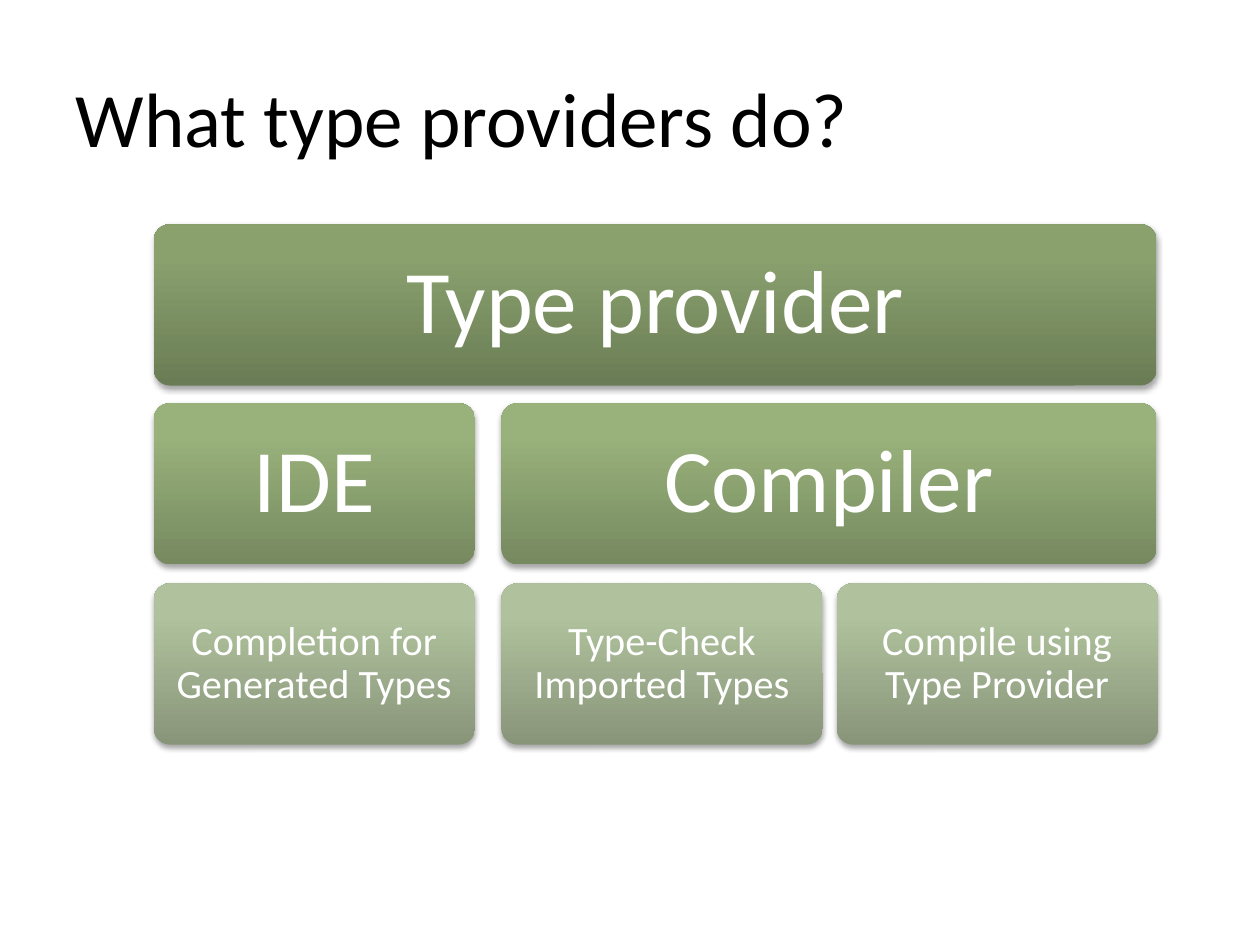
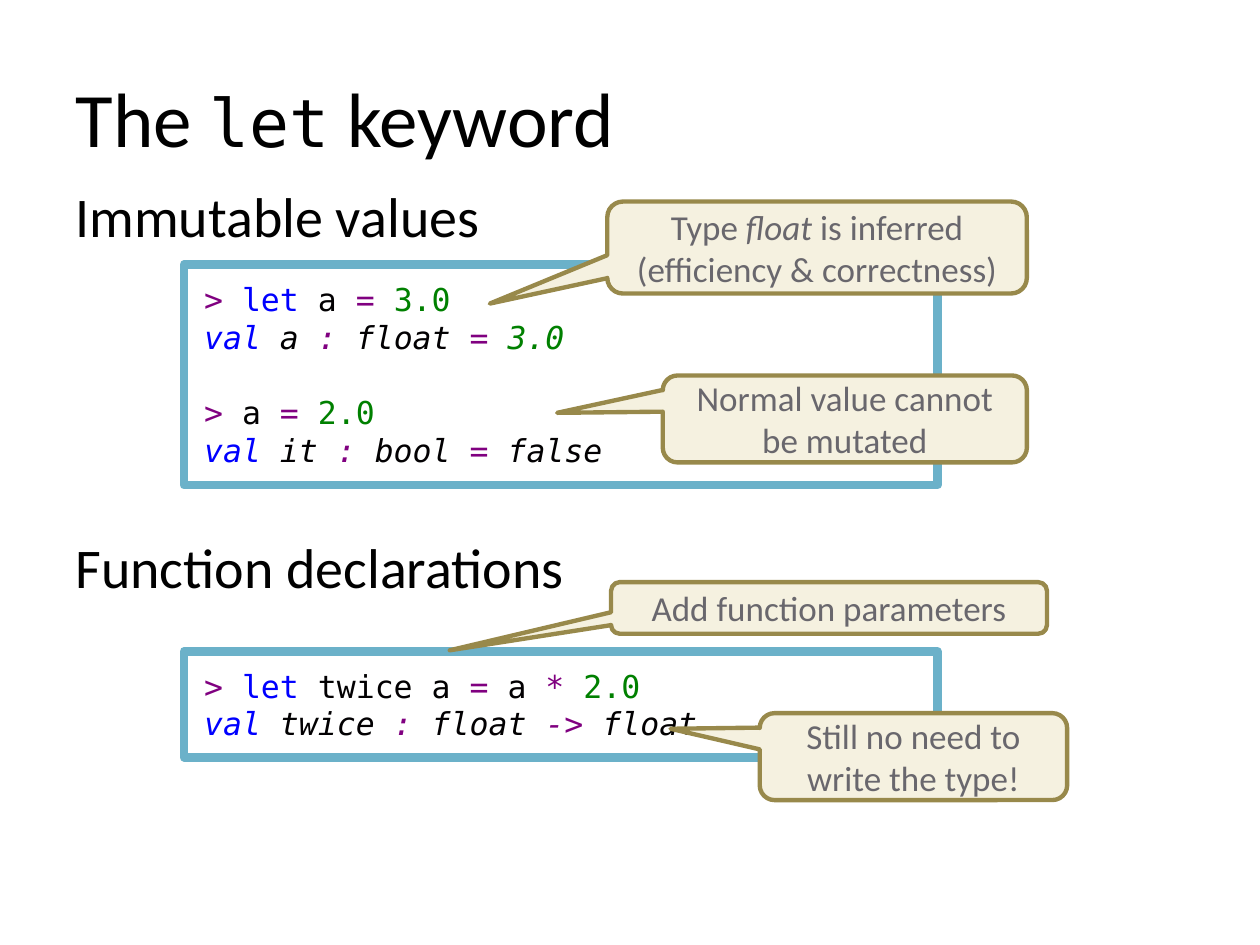
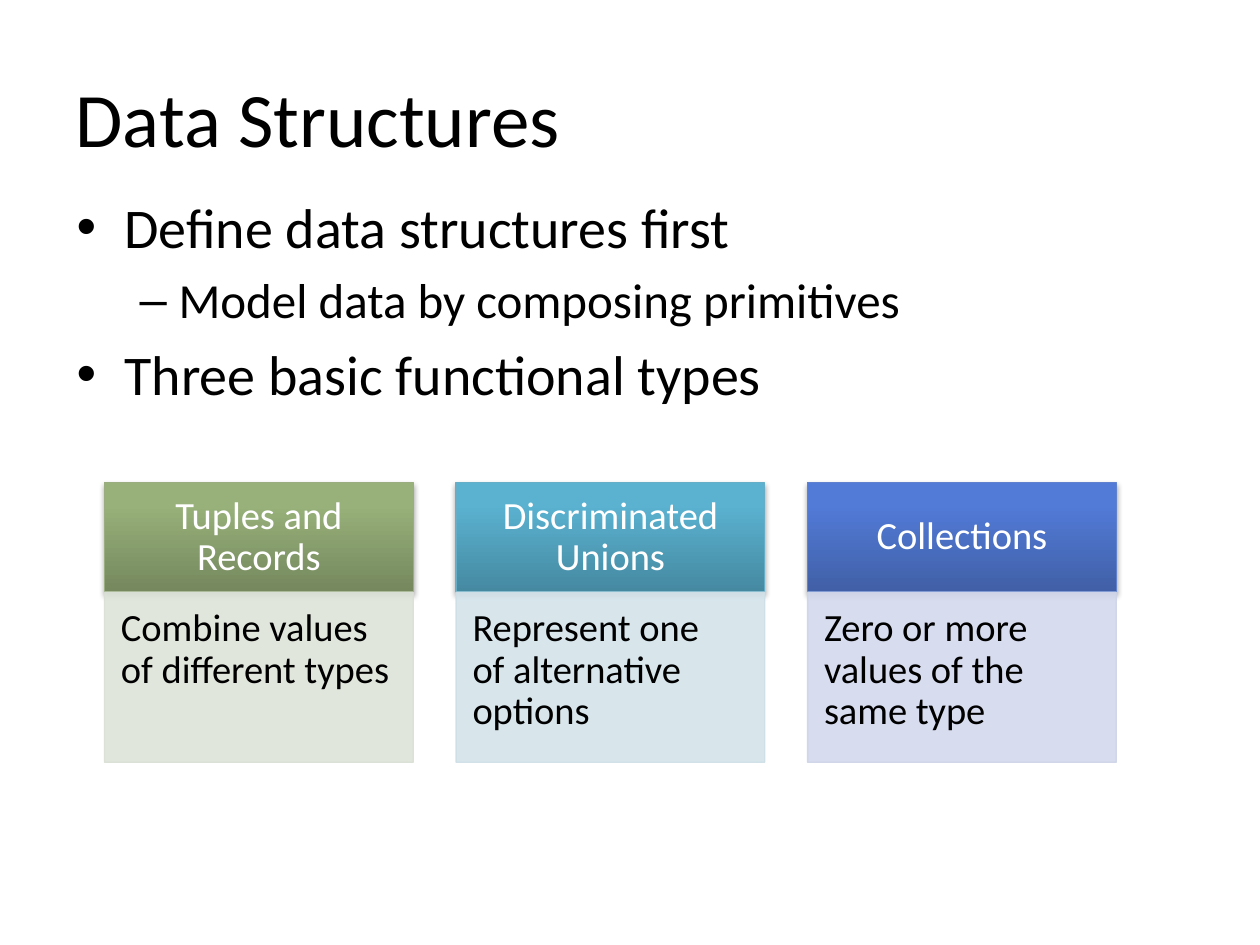
"""Build three slides on type providers, the let keyword and data structures."""
from dataclasses import dataclass
from itertools import groupby
from typing import Any, NamedTuple

from lxml.etree import SubElement
from pptx import Presentation
from pptx.dml.color import RGBColor
from pptx.enum.shapes import MSO_SHAPE as Preset
from pptx.enum.text import MSO_ANCHOR as Anchor, MSO_AUTO_SIZE as AutoSize, PP_ALIGN as Align
from pptx.oxml.ns import qn
from pptx.shapes.autoshape import Shape
from pptx.slide import Slide
from pptx.text.text import TextFrame
from pptx.util import Pt

EMU_PER_PX = 9144
TITLE_ONLY = 5
SANS, MONO = "Calibri", "DejaVu Sans Mono"
COLORS = {
    "black": "000000", "white": "FFFFFF",
    "keyword": "0000FF", "symbol": "800080", "number": "008000", "name": "020002",
    "code_line": "6BB1C9",
    "callout_fill": "F5F1E0", "callout_line": "98894B", "callout_text": "69676D",
    "top_dark": "6A7C55", "top_light": "8AA16E",
    "middle_dark": "76895F", "middle_light": "99B27C",
    "bottom_dark": "889579", "bottom_light": "B0C19D",
    "green_dark": "75885E", "green_light": "98B17A", "green_line": "99AD80",
    "green_pale": "DEE4D9", "green_edge": "D9DFD4",
    "teal_dark": "4589A1", "teal_light": "5AB2D0", "teal_line": "66AEC7",
    "teal_pale": "D4E4EB", "teal_edge": "CFDFE6",
    "blue_dark": "405FA6", "blue_light": "527BD8", "blue_line": "6081CD",
    "blue_pale": "D3D9ED", "blue_edge": "CED4E8",
}
TITLE_FONT = {"name": SANS, "size": Pt(44), "color": "black"}
TITLE_CODE = {"name": MONO, "size": Pt(38)}
HEADING_FONT = {"name": SANS, "size": Pt(32), "color": "black"}
SUBPOINT_FONT = {**HEADING_FONT, "size": Pt(28)}
CODE_FONT = {"name": MONO, "size": Pt(18)}
CALLOUT_FONT = {"name": SANS, "size": Pt(20), "color": "callout_text"}
NODE_FONT = {"name": SANS, "color": "white"}
CARD_FONT = {"name": SANS, "size": Pt(22), "color": "white"}
DETAIL_FONT = {**CARD_FONT, "color": "black"}
CENTERED = {"alignment": Align.CENTER}
LEFT = {"alignment": Align.LEFT}
TIGHT = {"line_spacing": 0.9}
CODE_GAP = Pt(21.5)
SYMBOLS = {">", "=", ":", "*", "->"}
KEYWORDS = {"let", "val"}


@dataclass(frozen=True)
class Box:
    """A rectangle in px."""
    left: int
    top: int
    width: int
    height: int

    def emu(self) -> list[int]:
        """Return the four lengths in EMU."""
        return [px(side) for side in (self.left, self.top, self.width, self.height)]


class Span(NamedTuple):
    """A piece of text with its own font values."""
    text: str
    font: dict[str, Any] = {}


class Node(NamedTuple):
    """A block of the type provider hierarchy."""
    text: str
    row: int
    left: int
    width: int


class Level(NamedTuple):
    """The look shared by one row of the hierarchy."""
    tone: str
    size: int
    inset: int


class CodeBox(NamedTuple):
    """A framed group of code lines."""
    box: Box
    lines: list[str]


class Callout(NamedTuple):
    """A speech bubble with the place of its tip."""
    box: Box
    tip: tuple[float, float]
    spans: list[Span]


class Card(NamedTuple):
    """A functional type with its description."""
    tone: str
    heading: str
    detail: str


class Point(NamedTuple):
    """A bulleted line with its indents in px."""
    text: str
    bullet: str
    margin: int
    hanging: int
    font: dict[str, Any]


LEVELS = [Level("top", 51, 21), Level("middle", 51, 21), Level("bottom", 23, 10)]
NODES = [
    Node("Type provider", 0, 122, 796),
    Node("IDE", 1, 122, 255),
    Node("Completion for Generated Types", 2, 122, 255),
    Node("Compiler", 1, 398, 520),
    Node("Type-Check Imported Types", 2, 398, 255),
    Node("Compile using Type Provider", 2, 664, 255),
]
CODE_BOXES = [
    CodeBox(Box(146, 210, 598, 175), [
        "> let a = 3.0", "val a : float = 3.0", "", "> a = 2.0", "val it : bool = false"]),
    CodeBox(Box(146, 517, 598, 84), ["> let twice a = a * 2.0", "val twice : float -> float"]),
]
CALLOUTS = [
    Callout(Box(482, 160, 333, 73), (-0.78, 0.61), [
        Span("Type "), Span("float", {"italic": True}),
        Span(" is inferred\n(efficiency & correctness)")]),
    Callout(Box(526, 298, 289, 69), (-0.79, -0.07), [Span("Normal value cannot be mutated")]),
    Callout(Box(485, 462, 346, 41), (-0.87, 0.82), [Span("Add function parameters")]),
    Callout(Box(603, 566, 244, 69), (-0.79, -0.32), [Span("Still no need to write the type!")]),
]
POINTS = [
    Point("Define data structures first", "•", 38, 38, HEADING_FONT),
    Point("Model data by composing primitives", "–", 81, 31, SUBPOINT_FONT),
    Point("Three basic functional types", "•", 38, 38, HEADING_FONT),
]
CARDS = [
    Card("green", "Tuples and Records", "Combine values of different types"),
    Card("teal", "Discriminated Unions", "Represent one \nof alternative options"),
    Card("blue", "Collections", "Zero or more values of the same type"),
]


def px(length: int) -> int:
    """Turn px into EMU."""
    return length * EMU_PER_PX


def rgb(name: str) -> RGBColor:
    """Look up a colour by name."""
    return RGBColor.from_string(COLORS[name])


def apply(target: Any, values: dict[str, Any]) -> None:
    """Set format values on a font, paragraph or text frame."""
    for name, value in values.items():
        if name == "color":
            target.color.rgb = rgb(value)
        else:
            setattr(target, name, value)


def set_frame(frame: TextFrame, anchor: Anchor, insets: tuple[int, ...] = (10, 5, 10, 5)) -> None:
    """Set wrapping, anchor and insets of a text frame."""
    sides = ("margin_left", "margin_top", "margin_right", "margin_bottom")
    apply(frame, {"word_wrap": True, "auto_size": AutoSize.NONE, "vertical_anchor": anchor})
    apply(frame, dict(zip(sides, map(px, insets))))


def write(para: Any, spans: list[Span], font: dict[str, Any], layout: dict[str, Any]) -> None:
    """Fill a paragraph with formatted spans."""
    apply(para, layout)
    for span in spans:
        for index, line in enumerate(span.text.split("\n")):
            if index:
                para.add_line_break()
            run = para.add_run()
            run.text = line
            apply(run.font, {**font, **span.font})


def next_para(frame: TextFrame, index: int) -> Any:
    """Return the first paragraph or add a further one."""
    return frame.add_paragraph() if index else frame.paragraphs[0]


def add_titled_slide(deck: Any, spans: list[Span]) -> Slide:
    """Add a slide with a left-aligned title."""
    slide = deck.slides.add_slide(deck.slide_layouts[TITLE_ONLY])
    title = slide.shapes.title
    title.left, title.top, title.width, title.height = Box(50, 30, 900, 125).emu()
    set_frame(title.text_frame, Anchor.MIDDLE)
    write(title.text_frame.paragraphs[0], spans, TITLE_FONT, LEFT)
    return slide


def add_body(slide: Slide, box: Box) -> TextFrame:
    """Add a body text box and return its frame."""
    frame = slide.shapes.add_textbox(*box.emu()).text_frame
    set_frame(frame, Anchor.TOP)
    return frame


def add_block(slide: Slide, preset: Preset, box: Box, fill: str | None = None,
              line: str | None = None, weight: float = 0.75) -> Shape:
    """Add a shape with a plain fill and line, either of which may be absent."""
    shape = slide.shapes.add_shape(preset, *box.emu())
    shape.shadow.inherit = False
    if fill:
        shape.fill.solid()
        shape.fill.fore_color.rgb = rgb(fill)
    else:
        shape.fill.background()
    if line:
        shape.line.color.rgb = rgb(line)
        shape.line.width = Pt(weight)
    else:
        shape.line.fill.background()
    return shape


def add_glossy(slide: Slide, preset: Preset, box: Box, tone: str, line: str | None = None) -> Shape:
    """Add a shape with an upward gradient and a soft shadow."""
    shape = add_block(slide, preset, box, line=line)
    shape.fill.gradient()
    shape.fill.gradient_angle = 90
    for stop, shade, position in zip(shape.fill.gradient_stops, ("dark", "light"), (0, 0.8)):
        stop.color.rgb = rgb(f"{tone}_{shade}")
        stop.position = position
    effects = shape.element.spPr.find(qn("a:effectLst"))
    shadow = SubElement(effects, qn("a:outerShdw"), blurRad="40000", dist="23000",
                        dir="5400000", rotWithShape="0")
    color = SubElement(shadow, qn("a:srgbClr"), val=COLORS["black"])
    SubElement(color, qn("a:alpha"), val="35000")
    return shape


def add_node(slide: Slide, node: Node) -> None:
    """Draw one block of the hierarchy."""
    level = LEVELS[node.row]
    box = Box(node.left, 178 + node.row * 285 // 2, node.width, 128)
    shape = add_glossy(slide, Preset.ROUNDED_RECTANGLE, box, level.tone)
    shape.adjustments[0] = 0.1
    set_frame(shape.text_frame, Anchor.MIDDLE, (level.inset,) * 4)
    write(shape.text_frame.paragraphs[0], [Span(node.text)],
          {**NODE_FONT, "size": Pt(level.size)}, {**CENTERED, **TIGHT})


def token_color(token: str) -> str:
    """Name the colour of a code token."""
    if token in KEYWORDS:
        return "keyword"
    if token in SYMBOLS:
        return "symbol"
    return "number" if token[0].isdigit() else "name"


def code_spans(line: str) -> list[Span]:
    """Split a code line into coloured spans, with replies in italics."""
    italic = line.startswith("val")
    tokens = line.split(" ")
    padded = [token + " " for token in tokens[:-1]] + tokens[-1:]
    groups = groupby(padded, lambda token: token_color(token.strip()))
    return [Span("".join(group), {"color": color, "italic": italic}) for color, group in groups]


def add_code(slide: Slide, code: CodeBox) -> None:
    """Draw a framed code box, with a gap for each empty line."""
    shape = add_block(slide, Preset.RECTANGLE, code.box, line="code_line", weight=5)
    set_frame(shape.text_frame, Anchor.TOP, (16, 12, 16, 12))
    for index, line in enumerate(code.lines):
        if line:
            gap = CODE_GAP if index and not code.lines[index - 1] else 0
            write(next_para(shape.text_frame, index), code_spans(line), CODE_FONT,
                  {**LEFT, "space_before": gap})


def add_callout(slide: Slide, callout: Callout) -> None:
    """Draw a speech bubble."""
    shape = add_block(slide, Preset.ROUNDED_RECTANGULAR_CALLOUT, callout.box,
                      "callout_fill", "callout_line", 2.5)
    for index, value in enumerate((*callout.tip, 0.17)):
        shape.adjustments[index] = value
    set_frame(shape.text_frame, Anchor.MIDDLE)
    write(shape.text_frame.paragraphs[0], callout.spans, CALLOUT_FONT, CENTERED)


def add_points(slide: Slide, points: list[Point]) -> None:
    """Draw the bulleted body text."""
    frame = add_body(slide, Box(51, 148, 900, 495))
    for index, point in enumerate(points):
        para = next_para(frame, index)
        properties = para._p.get_or_add_pPr()
        properties.set("marL", str(px(point.margin)))
        properties.set("indent", str(-px(point.hanging)))
        SubElement(properties, qn("a:buFont"), typeface="Arial")
        SubElement(properties, qn("a:buChar"), char=point.bullet)
        gap = point.font["size"] // 5 if index else 0
        write(para, [Span(point.text)], point.font, {"space_before": gap})


def add_card(slide: Slide, card: Card, left: int) -> None:
    """Draw a card heading over its translucent description."""
    heading = add_glossy(slide, Preset.RECTANGLE, Box(left, 383, 245, 87), card.tone,
                         f"{card.tone}_line")
    set_frame(heading.text_frame, Anchor.MIDDLE, (17, 10, 17, 10))
    write(heading.text_frame.paragraphs[0], [Span(card.heading)], CARD_FONT,
          {**CENTERED, **TIGHT})
    detail = add_block(slide, Preset.RECTANGLE, Box(left, 470, 245, 135),
                       f"{card.tone}_pale", f"{card.tone}_edge")
    for color in detail.element.spPr.iter(qn("a:srgbClr")):
        SubElement(color, qn("a:alpha"), val="90000")
    set_frame(detail.text_frame, Anchor.TOP, (13, 13, 17, 19))
    write(detail.text_frame.paragraphs[0], [Span(card.detail)], DETAIL_FONT, {**LEFT, **TIGHT})


def build_providers(deck: Any) -> None:
    """Build the type provider hierarchy."""
    slide = add_titled_slide(deck, [Span("What type providers do?")])
    for node in NODES:
        add_node(slide, node)


def build_let(deck: Any) -> None:
    """Build the slide on the let keyword."""
    slide = add_titled_slide(deck, [Span("The "), Span("let", TITLE_CODE), Span(" keyword")])
    frame = add_body(slide, Box(50, 139, 900, 598))
    for index, heading in enumerate(("Immutable values", "Function declarations")):
        write(next_para(frame, index), [Span(heading)], HEADING_FONT,
              {"space_before": Pt(162 * index)})
    for code in CODE_BOXES:
        add_code(slide, code)
    for callout in CALLOUTS:
        add_callout(slide, callout)


def build_structures(deck: Any) -> None:
    """Build the slide on data structures."""
    slide = add_titled_slide(deck, [Span("Data Structures")])
    add_points(slide, POINTS)
    for index, card in enumerate(CARDS):
        add_card(slide, card, 83 + index * 279)


def main() -> None:
    """Build and save the deck."""
    deck = Presentation()
    deck.slide_width, deck.slide_height = px(1000), px(750)
    for build in (build_providers, build_let, build_structures):
        build(deck)
    deck.save("out.pptx")


if __name__ == "__main__":
    main()
